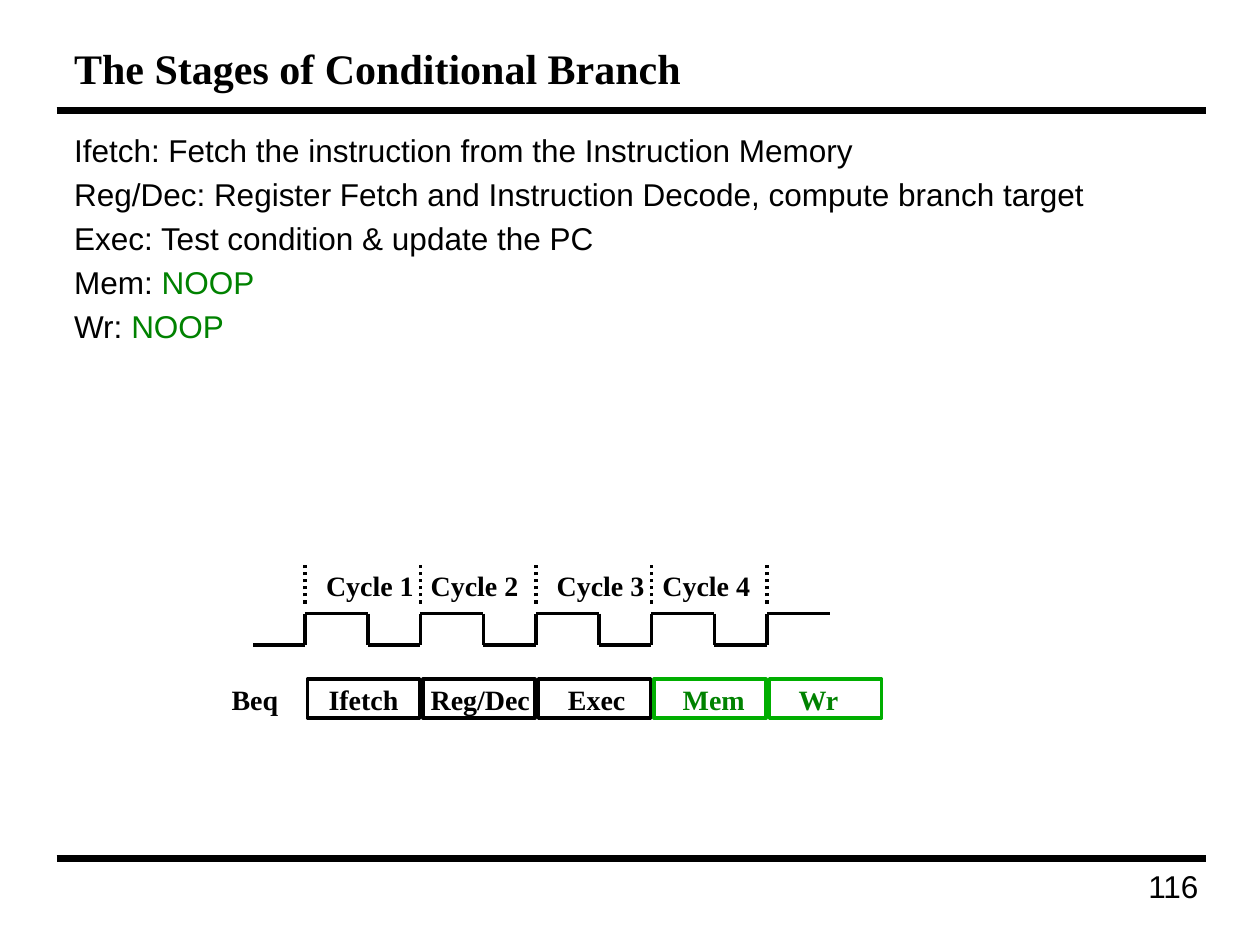
from dataclasses import dataclass

from lxml import etree
from pptx import Presentation
from pptx.dml.color import RGBColor
from pptx.enum.dml import MSO_LINE_DASH_STYLE as Dash
from pptx.enum.shapes import MSO_CONNECTOR as Connector, MSO_SHAPE as Shape
from pptx.enum.text import MSO_ANCHOR as Anchor, MSO_AUTO_SIZE as AutoSize, PP_ALIGN as Align
from pptx.oxml.ns import qn
from pptx.util import Inches, Pt


@dataclass(frozen=True)
class Theme:
    black: str = "000000"
    noop_text: str = "008200"
    noop_border: str = "00AE00"
    serif: str = "Times New Roman"
    sans: str = "Arial"
    title_size: int = 24
    body_size: int = 18
    label_size: int = 16
    rule_width: int = 4
    line_width: int = 2
    paragraph_gap: float = 3.6


THEME = Theme()

TITLE = "The Stages of Conditional Branch"
PAGE_NUMBER = "116"
STAGE_NOTES = [
    ("Ifetch: Fetch the instruction from the Instruction Memory", ""),
    ("Reg/Dec: Register Fetch and Instruction Decode, compute branch target", ""),
    ("Exec: Test condition & update the PC", ""),
    ("Mem: ", "NOOP"),
    ("Wr: ", "NOOP"),
]
INSTRUCTION = ("Beq", 1.74, 0.6)
CYCLES = [("Cycle 1", 2.49), ("Cycle 2", 3.32), ("Cycle 3", 4.32), ("Cycle 4", 5.16)]
STAGES = [
    ("Ifetch", 2.51, 0.8, True),
    ("Reg/Dec", 3.32, 1.02, True),
    ("Exec", 4.41, 0.7, True),
    ("Mem", 5.32, 0.74, False),
    ("Wr", 6.24, 0.56, False),
]

RULE_LEFT, RULE_RIGHT = 0.45, 9.57
RULE_TOPS = (0.88, 6.81)
CLOCK_START, CYCLE_WIDTH, HIGH_WIDTH = 2.42, 11 / 12, 0.5
CLOCK_HIGH, CLOCK_LOW, LEAD_IN = 4.87, 5.12, 2.01
TICK_TOP, TICK_BOTTOM = 4.46, 4.79
CYCLE_LABEL_TOP, STAGE_LABEL_TOP, LABEL_HEIGHT = 4.46, 5.37, 0.36
STAGE_INSET, STAGE_TOP, STAGE_WIDTH, STAGE_HEIGHT = 0.02, 5.39, 0.89, 0.31


def add_line(slide, start, end, width=THEME.line_width, dash=None):
    line = slide.shapes.add_connector(
        Connector.STRAIGHT, *(Inches(length) for length in (*start, *end)))
    line.line.color.rgb = RGBColor.from_string(THEME.black)
    line.line.width = Pt(width)
    if dash:
        line.line.dash_style = dash
    etree.SubElement(line._element.spPr, qn("a:effectLst"))


def add_run(paragraph, text, size, face, color=THEME.black, bold=False):
    run = paragraph.add_run()
    run.text = text
    run.font.size = Pt(size)
    run.font.name = face
    run.font.bold = bold
    run.font.color.rgb = RGBColor.from_string(color)


def add_frame(slide, left, top, width, height, wrap=True):
    frame = slide.shapes.add_textbox(
        *(Inches(length) for length in (left, top, width, height))).text_frame
    frame.word_wrap = wrap
    return frame


def add_label(slide, text, left, top, width, color=THEME.black):
    frame = add_frame(slide, left, top, width, LABEL_HEIGHT, wrap=False)
    frame.auto_size = AutoSize.SHAPE_TO_FIT_TEXT
    add_run(frame.paragraphs[0], text, THEME.label_size, THEME.serif, color, bold=True)


def add_page_text(slide):
    for top in RULE_TOPS:
        add_line(slide, (RULE_LEFT, top), (RULE_RIGHT, top), THEME.rule_width)

    number = add_frame(slide, 7.56, 6.83, 2.05, 0.49).paragraphs[0]
    number.alignment = Align.RIGHT
    add_run(number, PAGE_NUMBER, THEME.body_size, THEME.sans)

    title = add_frame(slide, 0.49, 0.25, 9.04, 0.58)
    title.vertical_anchor = Anchor.MIDDLE
    add_run(title.paragraphs[0], TITLE, THEME.title_size, THEME.serif, bold=True)

    notes = add_frame(slide, 0.49, 0.99, 9.04, 5.76)
    for index, (action, noop) in enumerate(STAGE_NOTES):
        note = notes.add_paragraph() if index else notes.paragraphs[0]
        note.space_before = Pt(THEME.paragraph_gap if index else 0)
        properties = note._p.get_or_add_pPr()
        properties.set("marL", str(Inches(0.37)))
        properties.set("indent", str(Inches(-0.37)))
        add_run(note, action, THEME.body_size, THEME.sans)
        if noop:
            add_run(note, noop, THEME.body_size, THEME.sans, THEME.noop_text)


def add_clock(slide):
    edges = [CLOCK_START + index * CYCLE_WIDTH for index in range(len(CYCLES) + 1)]
    wave = [(LEAD_IN, CLOCK_LOW)]
    for edge in edges:
        fall = edge + HIGH_WIDTH
        wave += [(edge, CLOCK_LOW), (edge, CLOCK_HIGH), (fall, CLOCK_HIGH), (fall, CLOCK_LOW)]
    wave.pop()
    for start, end in zip(wave, wave[1:]):
        add_line(slide, start, end)
    for edge in edges:
        add_line(slide, (edge, TICK_BOTTOM), (edge, TICK_TOP), dash=Dash.ROUND_DOT)
    for cycle, left in CYCLES:
        add_label(slide, cycle, left, CYCLE_LABEL_TOP, 0.9)


def add_pipeline(slide):
    instruction, instruction_left, instruction_width = INSTRUCTION
    add_label(slide, instruction, instruction_left, STAGE_LABEL_TOP, instruction_width)
    for index, (stage, label_left, label_width, active) in enumerate(STAGES):
        left = CLOCK_START + STAGE_INSET + index * CYCLE_WIDTH
        box = slide.shapes.add_shape(
            Shape.RECTANGLE,
            *(Inches(length) for length in (left, STAGE_TOP, STAGE_WIDTH, STAGE_HEIGHT)))
        box.shadow.inherit = False
        box.fill.background()
        box.line.color.rgb = RGBColor.from_string(THEME.black if active else THEME.noop_border)
        box.line.width = Pt(THEME.line_width)
        add_label(slide, stage, label_left, STAGE_LABEL_TOP, label_width,
                  THEME.black if active else THEME.noop_text)


def main():
    deck = Presentation()
    deck.slide_width, deck.slide_height = Inches(10), Inches(7.5)
    slide = deck.slides.add_slide(deck.slide_layouts[6])
    add_page_text(slide)
    add_clock(slide)
    add_pipeline(slide)
    deck.save("out.pptx")


if __name__ == "__main__":
    main()
